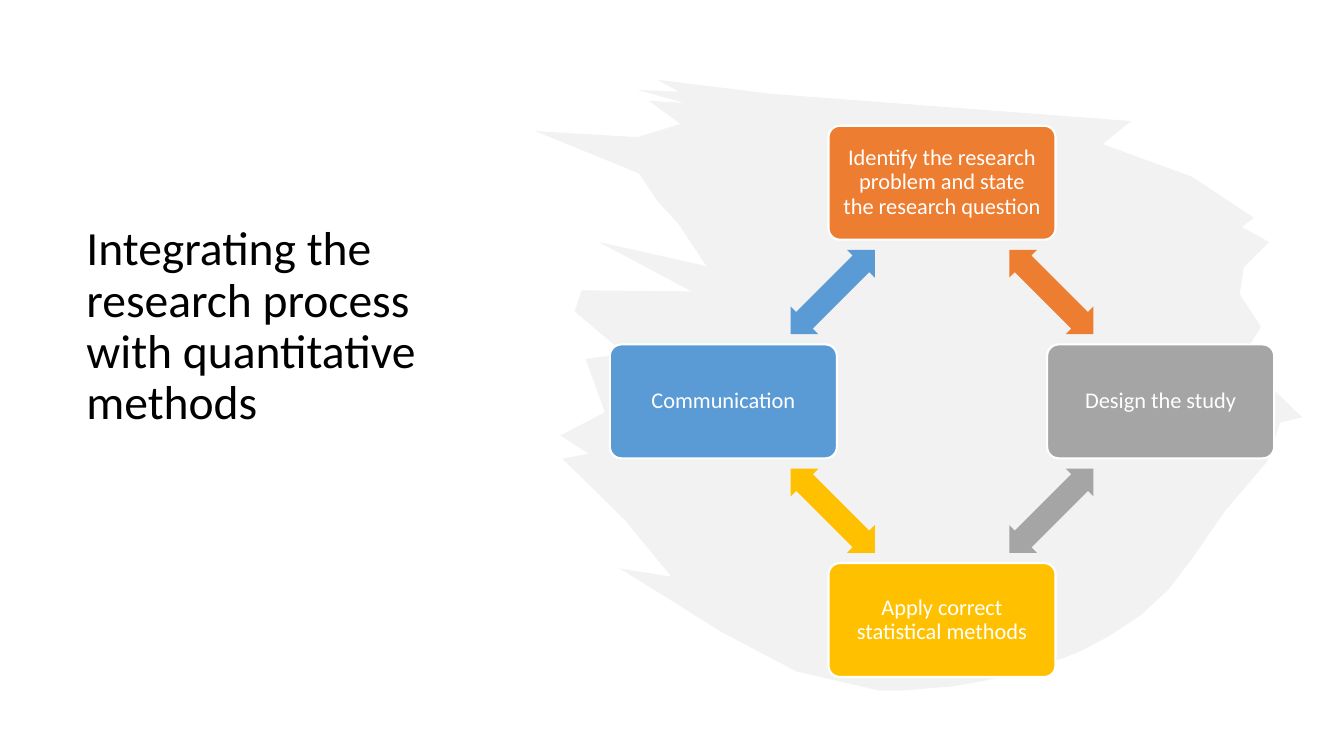
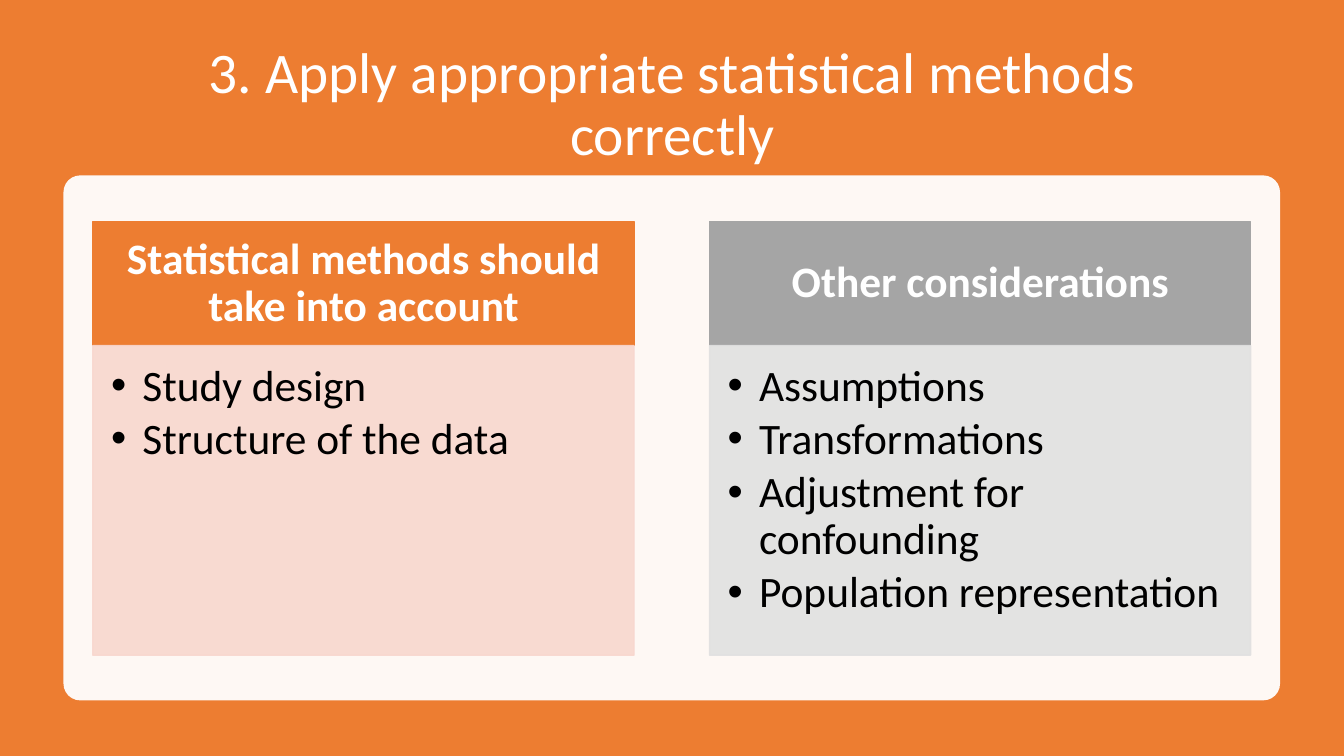
import math
import pptx
import pptx.dml.color
import pptx.enum.shapes
import pptx.enum.text
import pptx.oxml
import pptx.oxml.ns
import pptx.util

Cm = pptx.util.Cm
Pt = pptx.util.Pt
Color = pptx.dml.color.RGBColor
Kind = pptx.enum.shapes.MSO_SHAPE
Align = pptx.enum.text.PP_ALIGN
Anchor = pptx.enum.text.MSO_ANCHOR
qn = pptx.oxml.ns.qn

FONT = "Calibri"
WHITE = Color(0xFF, 0xFF, 0xFF)
BLACK = Color(0, 0, 0)
ORANGE = Color(0xED, 0x7D, 0x31)
GRAY = Color(0xA5, 0xA5, 0xA5)
GOLD = Color(0xFF, 0xC0, 0x00)
BLUE = Color(0x5B, 0x9B, 0xD5)
PINK = Color(0xF8, 0xD7, 0xCE)
SILVER = Color(0xE1, 0xE1, 0xE1)
PAINT = Color(0xE7, 0xE6, 0xE6)

STEPS = [
    ("Identify the research problem and state the research question", ORANGE),
    ("Design the study", GRAY),
    ("Apply correct statistical methods", GOLD),
    ("Communication", BLUE),
]

PANELS = [
    ("Statistical methods should take into account", ORANGE, PINK,
     ["Study design", "Structure of the data"]),
    ("Other considerations", GRAY, SILVER,
     ["Assumptions", "Transformations", "Adjustment for confounding",
      "Population representation"]),
]

RIGHT = [
    (121, 0), (234, 14), (591, 41), (563, 64), (651, 96), (713, 137), (701, 146),
    (728, 161), (703, 186), (699, 213), (720, 245), (702, 274), (730, 305),
    (761, 335), (739, 340), (726, 379), (685, 427),
]
BELLY = [(651, 476), (568, 606), (364, 607), (341, 606)]
LEFT = [
    (259, 587), (185, 548), (126, 511), (84, 485), (135, 493), (89, 437), (27, 376),
    (53, 371), (25, 353), (69, 330), (50, 277), (89, 272), (39, 230), (46, 209),
    (155, 210), (63, 161), (170, 185), (142, 143), (121, 120), (103, 93), (0, 51),
    (101, 57), (144, 44), (113, 21), (148, 23), (101, 10), (143, 12),
]


def curve(ends, count):
    for spot in range(count + 1):
        t = spot / count
        parts = [math.comb(3, k) * t ** k * (1 - t) ** (3 - k) for k in range(4)]
        yield tuple(sum(part * end[axis] for part, end in zip(parts, ends))
                    for axis in (0, 1))


def paint(shape, fill, line=None, width=1, alpha=None):
    shape.shadow.inherit = False
    shape.fill.solid()
    shape.fill.fore_color.rgb = fill
    if line is None:
        shape.line.fill.background()
    else:
        shape.line.color.rgb = line
        shape.line.width = Pt(width)
    if alpha is not None:
        for tint in shape._element.spPr.iter(qn("a:srgbClr")):
            node = pptx.oxml.parse_xml(
                f'<a:alpha {pptx.oxml.ns.nsdecls("a")} val="{alpha * 1000}"/>')
            tint.append(node)


def block(slide, kind, box, fill, **style):
    shape = slide.shapes.add_shape(kind, *[Cm(side) for side in box])
    paint(shape, fill, **style)
    return shape


def write(shape, lines, size, color, align=Align.CENTER, anchor=Anchor.MIDDLE,
          inset=(0.25, 0.13, 0.25, 0.13), bold=False, bullet=False, after=0):
    frame = shape.text_frame
    frame.word_wrap = True
    frame.vertical_anchor = anchor
    (frame.margin_left, frame.margin_top,
     frame.margin_right, frame.margin_bottom) = [Cm(side) for side in inset]
    for spot, text in enumerate(lines):
        para = frame.paragraphs[0] if spot == 0 else frame.add_paragraph()
        if bullet:
            mark(para)
        para.alignment = align
        para.line_spacing = 0.9
        para.space_after = Pt(after)
        run = para.add_run()
        run.text = text
        run.font.name = FONT
        run.font.size = Pt(size)
        run.font.bold = bold
        run.font.color.rgb = color


def mark(para):
    props = para._p.get_or_add_pPr()
    props.set("marL", str(Cm(0.79)))
    props.set("indent", str(-Cm(0.79)))
    for tag in ('buFont {} typeface="Arial"', 'buChar {} char="•"'):
        text = tag.format(pptx.oxml.ns.nsdecls("a"))
        props.append(pptx.oxml.parse_xml(f"<a:{text}/>"))


def title(slide, box, text, size, color, **style):
    shape = slide.shapes.add_textbox(*[Cm(side) for side in box])
    write(shape, [text], size, color, **style)


def brush(slide, left, top):
    edge = [*RIGHT, *curve(BELLY, 12), *LEFT]
    form = slide.shapes.build_freeform(*edge[0], scale=Cm(0.0254))
    form.add_line_segments(edge[1:], close=True)
    paint(form.convert_to_shape(Cm(left), Cm(top)), PAINT, alpha=50)


def cycle(slide, box):
    left, top, width, height = box
    wide, high = 5.72, 2.87
    long, thick = 3, 0.99
    reach = (width - wide) / 2
    mid_x, mid_y = left + width / 2, top + height / 2

    def place(kind, turn, gap, size, color, **style):
        angle = math.radians(turn)
        x = mid_x + gap * math.cos(angle) - size[0] / 2
        y = mid_y + gap * math.sin(angle) - size[1] / 2
        return block(slide, kind, (x, y, *size), color, **style)

    for step, (text, color) in enumerate(STEPS):
        turn = 90 * step - 90
        node = place(Kind.ROUNDED_RECTANGLE, turn, reach, (wide, high),
                     color, line=WHITE, width=1.5)
        node.adjustments[0] = 0.1
        write(node, [text], 16, WHITE, inset=(0.25,) * 4)
        arrow = place(Kind.LEFT_RIGHT_ARROW, turn + 45, reach * math.sqrt(0.5),
                      (long, thick), color)
        arrow.adjustments[0] = 0.6
        arrow.adjustments[1] = 0.5
        arrow.rotation = turn + 135


def panel(slide, box, head, dark, pale, items):
    left, top, width, height = box
    bar = 3.12
    cap = block(slide, Kind.RECTANGLE, (left, top, width, bar), dark, line=dark)
    write(cap, [head], 31, WHITE, bold=True, inset=(0.61, 0.36, 0.61, 0.36))
    body = block(slide, Kind.RECTANGLE, (left, top + bar, width, height - bar),
                 pale, line=pale, alpha=90)
    write(body, items, 31, BLACK, align=Align.LEFT, anchor=Anchor.TOP,
          inset=(0.46, 0.46, 0.61, 0.69), bullet=True, after=4.5)


def process(slide):
    brush(slide, 13.49, 2.01)
    title(slide, (1.93, 6.45, 11.05, 4.52),
          "Integrating the research process with quantitative methods",
          34, BLACK, align=Align.LEFT, anchor=Anchor.BOTTOM)
    cycle(slide, (15.37, 3.18, 16.74, 13.87))


def methods(slide):
    slide.background.fill.solid()
    slide.background.fill.fore_color.rgb = ORANGE
    title(slide, (2.34, 1.27, 29.21, 2.79),
          "3. Apply appropriate statistical methods correctly", 41, WHITE)
    card = block(slide, Kind.ROUNDED_RECTANGLE, (1.6, 4.42, 30.66, 13.23),
                 WHITE, alpha=95)
    card.adjustments[0] = 0.032
    for spot, part in enumerate(PANELS):
        panel(slide, (2.34 + 15.54 * spot, 5.59, 13.64, 10.92), *part)


def main():
    deck = pptx.Presentation()
    deck.slide_width = Cm(33.87)
    deck.slide_height = Cm(19.05)
    for build in (process, methods):
        build(deck.slides.add_slide(deck.slide_layouts[6]))
    deck.save("out.pptx")


if __name__ == "__main__":
    main()
